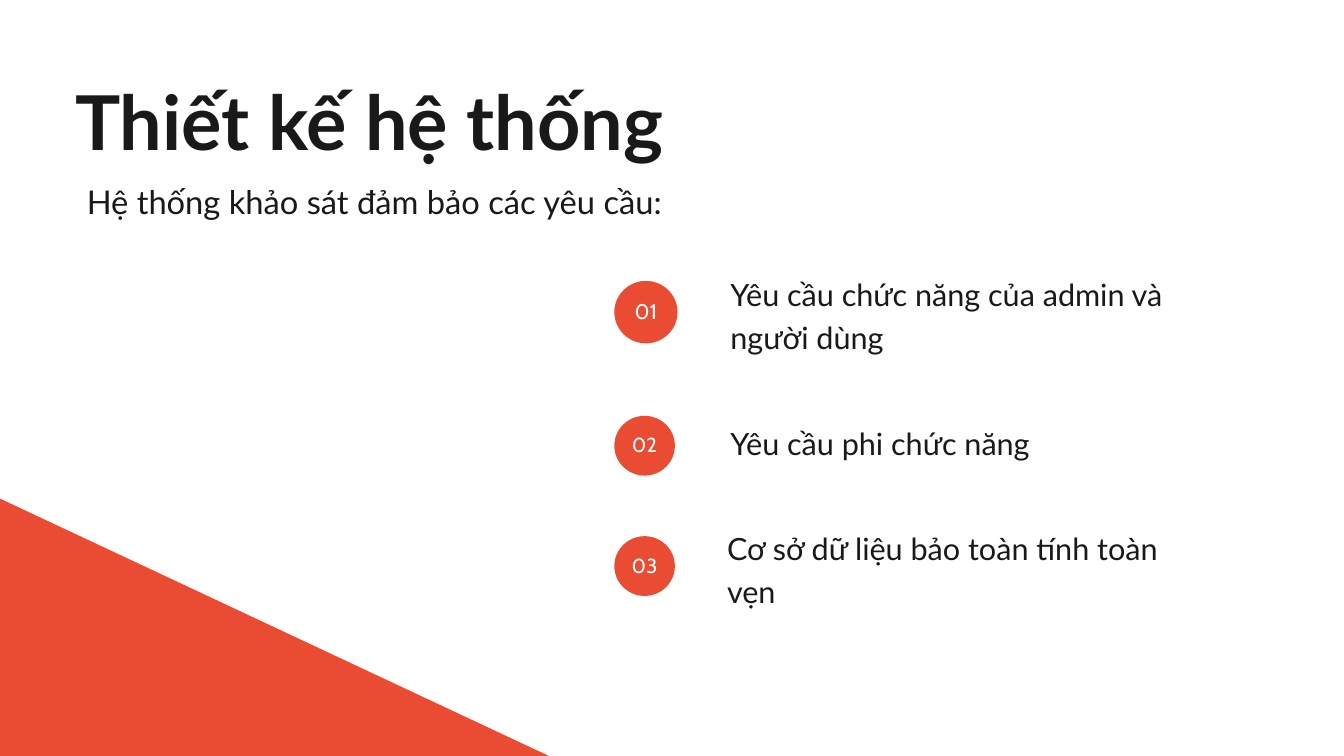
"""Build the system design slide with its three numbered requirements."""
from dataclasses import dataclass

from pptx import Presentation
from pptx.dml.color import RGBColor
from pptx.enum.shapes import MSO_SHAPE
from pptx.enum.text import MSO_ANCHOR, MSO_AUTO_SIZE, PP_ALIGN
from pptx.util import Cm, Pt

OVAL, TRIANGLE = MSO_SHAPE.OVAL, MSO_SHAPE.RIGHT_TRIANGLE
LEFT, CENTER = PP_ALIGN.LEFT, PP_ALIGN.CENTER
TOP, GROW = MSO_ANCHOR.TOP, MSO_AUTO_SIZE.SHAPE_TO_FIT_TEXT
TITLE_ONLY = 5


@dataclass(frozen=True)
class Theme:
    ink: RGBColor = RGBColor(0x19, 0x19, 0x19)
    accent: RGBColor = RGBColor(0xEA, 0x4B, 0x33)
    paper: RGBColor = RGBColor(0xFF, 0xFF, 0xFF)
    text_font: str = "Lato"
    number_font: str = "Cabin"
    title_size: float = 81
    subtitle_size: float = 35
    item_size: float = 32.8
    number_sizes: tuple = (22.7, 21.8, 21.8)


theme = Theme()
FRAME_FORMAT = {
    "margin_left": 0, "margin_top": 0, "margin_right": 0, "margin_bottom": 0,
    "word_wrap": True, "auto_size": GROW, "vertical_anchor": TOP,
}


def write(box, text, size, spacing, font=theme.text_font, color=theme.ink, bold=False, align=LEFT):
    for name, value in FRAME_FORMAT.items():
        setattr(box.text_frame, name, value)
    para = box.text_frame.paragraphs[0]
    para.alignment, para.line_spacing = align, Pt(spacing)
    span = para.add_run()
    span.text = text
    for name, value in {"name": font, "size": Pt(size), "bold": bold}.items():
        setattr(span.font, name, value)
    span.font.color.rgb = color


def add_solid(page, kind, left, top, width, height):
    solid = page.shapes.add_shape(kind, Cm(left), Cm(top), Cm(width), Cm(height))
    solid.shadow.inherit = False
    solid.fill.solid()
    solid.fill.fore_color.rgb = theme.accent
    solid.line.fill.background()


deck = Presentation()
deck.slide_width, deck.slide_height = Cm(50.8), Cm(28.58)
page = deck.slides.add_slide(deck.slide_layouts[TITLE_ONLY])
page.background.fill.solid()
page.background.fill.fore_color.rgb = theme.paper

title = page.shapes.title
title_place = {"left": 2.84, "top": 2.82, "width": 30.2, "height": 3.43}
for name, value in title_place.items():
    setattr(title, name, Cm(value))
write(title, "Thiết kế hệ thống", theme.title_size, 97.2, bold=True)

subtitle = page.shapes.add_textbox(Cm(3.28), Cm(6.76), Cm(26.19), Cm(1.57))
write(subtitle, "Hệ thống khảo sát đảm bảo các yêu cầu:", theme.subtitle_size, 45.5)

DISC_LEFT, ITEM_RIGHT = 23.22, 45.57
requirements = [
    ("Yêu cầu chức năng của admin và người dùng", 27.61, 10.19, 3.1, 10.62, 2.39),
    ("Yêu cầu phi chức năng", 27.61, 15.82, 1.5, 15.72, 2.29),
    ("Cơ sở dữ liệu bảo toàn tính toàn vẹn", 27.48, 19.79, 3.1, 20.27, 2.29),
]
for index, (text, left, top, height, disc_top, disc_width) in enumerate(requirements):
    item = page.shapes.add_textbox(Cm(left), Cm(top), Cm(ITEM_RIGHT - left), Cm(height))
    write(item, text, theme.item_size, 45.9)

    disc_height = disc_width - 0.03
    add_solid(page, OVAL, DISC_LEFT, disc_top, disc_width, disc_height)

    number = page.shapes.add_textbox(
        Cm(DISC_LEFT + 0.22 * disc_width), Cm(disc_top + 0.28 * disc_height),
        Cm(0.56 * disc_width), Cm(0.42 * disc_height))
    size = theme.number_sizes[index]
    write(number, f"{index + 1:02}", size, round(1.2 * size, 1),
          font=theme.number_font, color=theme.paper, align=CENTER)

add_solid(page, TRIANGLE, 0, 18.85, 20.75, 9.73)

deck.save("out.pptx")
